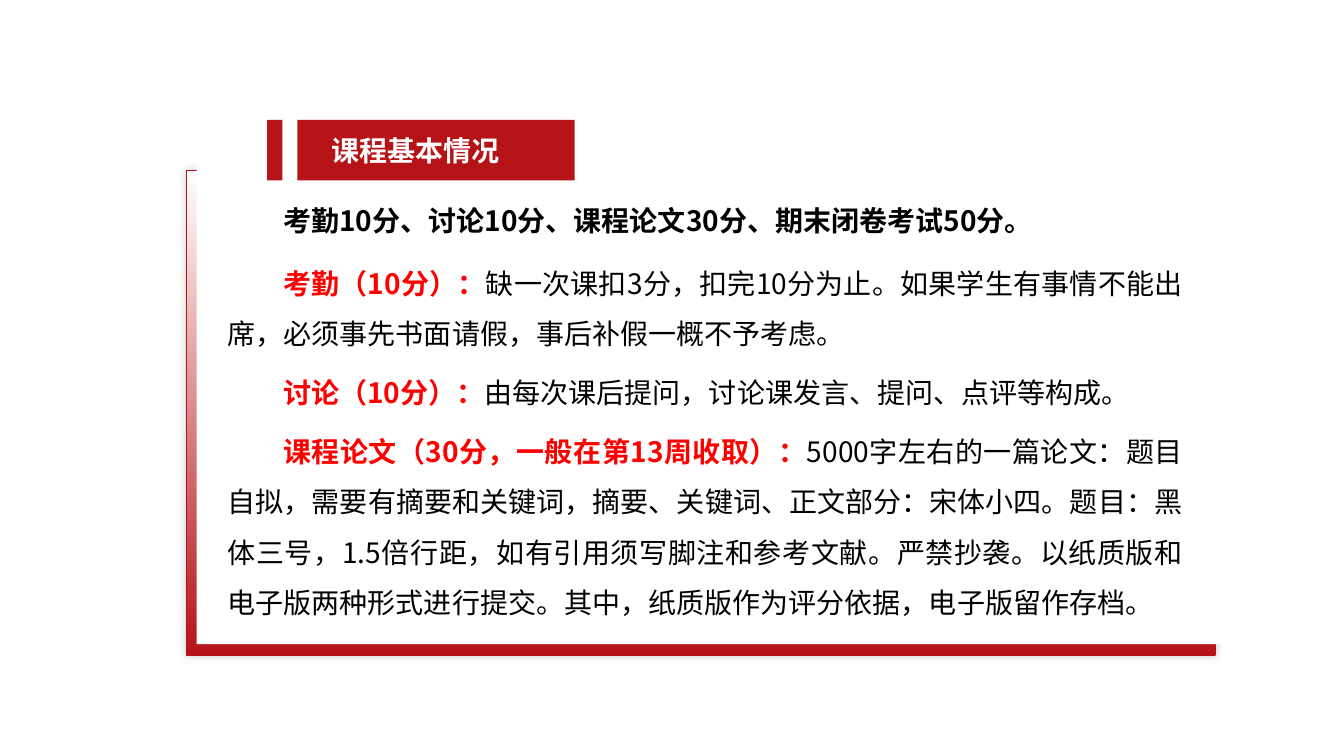
from dataclasses import dataclass

from lxml.etree import SubElement
from pptx import Presentation
from pptx.dml.color import RGBColor
from pptx.enum.shapes import MSO_SHAPE
from pptx.enum.text import MSO_ANCHOR, PP_ALIGN
from pptx.oxml.ns import qn
from pptx.util import Inches, Pt


@dataclass(frozen=True)
class Theme:
    red: str = "B51317"
    accent: str = "FF0000"
    white: str = "FFFFFF"
    black: str = "000000"
    font: str = "Noto Sans CJK SC"
    size: int = 20


THEME = Theme()
SUMMARY = "考勤10分、讨论10分、课程论文30分、期末闭卷考试50分。"
RULES = [
    ("考勤（10分）：",
     "缺一次课扣3分，扣完10分为止。如果学生有事情不能出席，必须事先书面请假，事后补假一概不予考虑。"),
    ("讨论（10分）：", "由每次课后提问，讨论课发言、提问、点评等构成。"),
    ("课程论文（30分，一般在第13周收取）：",
     "5000字左右的一篇论文：题目自拟，需要有摘要和关键词，摘要、关键词、正文部分：宋体小四。"
     "题目：黑体三号，1.5倍行距，如有引用须写脚注和参考文献。严禁抄袭。"
     "以纸质版和电子版两种形式进行提交。其中，纸质版作为评分依据，电子版留作存档。"),
]


def add_block(page, left, top, width, height, color):
    block = page.shapes.add_shape(
        MSO_SHAPE.RECTANGLE, *map(Inches, (left, top, width, height)))
    block.shadow.inherit = False
    block.fill.solid()
    block.fill.fore_color.rgb = RGBColor.from_string(color)
    block.line.fill.background()
    return block


def add_span(para, text, color, bold):
    span = para.add_run()
    span.text = text
    span.font.name = THEME.font
    span.font.size = Pt(THEME.size)
    span.font.bold = bold
    span.font.color.rgb = RGBColor.from_string(color)
    # East Asian typeface
    SubElement(span.font._element, qn("a:ea"), typeface=THEME.font)


def set_indent(para, margin, first_line):
    properties = para._p.get_or_add_pPr()
    properties.set("marL", str(Inches(margin)))
    properties.set("indent", str(Inches(first_line)))


def add_soft_shadow(shape):
    effects = shape._element.spPr.find(qn("a:effectLst"))
    shadow = SubElement(effects, qn("a:outerShdw"), blurRad=str(Pt(6)),
                        dist="0", dir=str(225 * 60000), rotWithShape="0")
    color = SubElement(shadow, qn("a:srgbClr"), val=THEME.black)
    SubElement(color, qn("a:alpha"), val="20000")


def add_frame(page, left, top, width, height, offset=0.1):
    # Graded panel, fading from white down to red
    panel = add_block(page, left, top, width, height, THEME.red)
    panel.fill.gradient()
    panel.fill.gradient_angle = 270
    for stop, color in zip(panel.fill.gradient_stops, (THEME.white, THEME.red)):
        stop.color.rgb = RGBColor.from_string(color)
    panel.line.color.rgb = RGBColor.from_string(THEME.red)
    panel.line.width = Pt(1)
    add_soft_shadow(panel)
    # White sheet, shifted up and right
    add_block(page, left + offset, top - offset - 0.01, width, height, THEME.white)


def add_heading(page, left, top, width, height, text):
    bar = height / 4
    # White gap behind the bar, then the bar and the banner
    add_block(page, left, top, 2 * bar, height, THEME.white)
    add_block(page, left, top, bar, height, THEME.red)
    banner = add_block(page, left + 2 * bar, top, width - 2 * bar, height, THEME.red)
    banner.text_frame.vertical_anchor = MSO_ANCHOR.MIDDLE
    para = banner.text_frame.paragraphs[0]
    para.alignment = PP_ALIGN.LEFT
    set_indent(para, 0.24, 0)
    add_span(para, text, THEME.white, True)


def add_rules(page, left, top, width, height):
    box = page.shapes.add_textbox(*map(Inches, (left, top, width, height)))
    frame = box.text_frame
    frame.word_wrap = True
    # Summary line first, then a red label and its explanation
    for index, (label, body) in enumerate([(SUMMARY, "")] + RULES):
        para = frame.paragraphs[0] if index == 0 else frame.add_paragraph()
        para.alignment = PP_ALIGN.JUSTIFY
        para.line_spacing = 1.5
        para.space_before = Pt(3 if index else 0)
        para.space_after = Pt(3 if index else 6)
        set_indent(para, 0, 0.55)
        add_span(para, label, THEME.accent if body else THEME.black, True)
        if body:
            add_span(para, body, THEME.black, False)


def main():
    deck = Presentation()
    deck.slide_width, deck.slide_height = Inches(13.33), Inches(7.5)
    page = deck.slides.add_slide(deck.slide_layouts[6])
    add_frame(page, 1.85, 1.69, 10.2, 4.81)
    add_heading(page, 2.65, 1.19, 3.05, 0.6, "课程基本情况")
    add_rules(page, 2.16, 1.8, 9.67, 4.43)
    deck.save("out.pptx")


if __name__ == "__main__":
    main()
